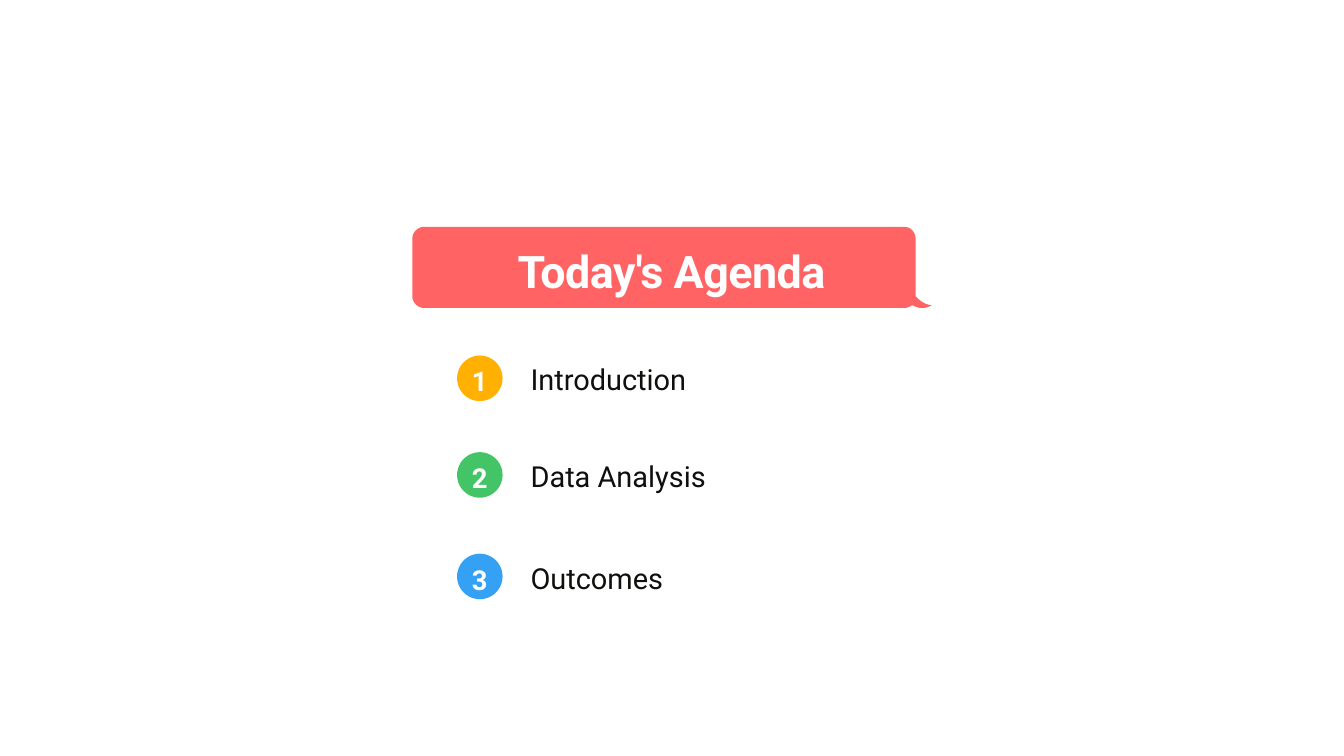
"""Build the agenda slide: a speech-bubble title above three numbered items."""
import pptx
import pptx.dml.color
import pptx.enum.shapes
import pptx.enum.text
import pptx.util

PX = 9525
FONT = "Roboto"
WHITE = pptx.dml.color.RGBColor(0xFF, 0xFF, 0xFF)
INK = pptx.dml.color.RGBColor(0x10, 0x0F, 0x0D)
CORAL = pptx.dml.color.RGBColor(0xFF, 0x63, 0x63)
AMBER = pptx.dml.color.RGBColor(0xFF, 0xB0, 0x01)
GREEN = pptx.dml.color.RGBColor(0x43, 0xC4, 0x66)
BLUE = pptx.dml.color.RGBColor(0x35, 0xA1, 0xF4)

HEADING = "Today's Agenda"
AGENDA = [("Introduction", AMBER, 508), ("Data Analysis", GREEN, 646), ("Outcomes", BLUE, 791)]

COLUMN_LEFT, BADGE_SIZE = 653, 65
LABEL_LEFT, LABEL_WIDTH, LABEL_HEIGHT = 758, 509, 56
BUBBLE_START = (1308, 423)
BUBBLE_CURVES = [
    [(1308, 341)],
    [(1308, 332), (1301, 324), (1292, 324)],
    [(606, 324)],
    [(597, 324), (589, 332), (589, 341)],
    [(589, 423)],
    [(589, 432), (597, 440), (606, 440)],
    [(1292, 440)],
    [(1296, 440), (1300, 438), (1303, 436)],
    [(1308, 438), (1318, 444), (1331, 436)],
    [(1331, 436), (1319, 436), (1308, 423)],
]


def box(*lengths):
    return [length * PX for length in lengths]


def write(shape, text, *, size, line, color, bold=False, spacing=0,
          align=pptx.enum.text.PP_ALIGN.LEFT, anchor=pptx.enum.text.MSO_ANCHOR.TOP):
    frame = shape.text_frame
    frame.word_wrap = True
    frame.auto_size = pptx.enum.text.MSO_AUTO_SIZE.NONE
    frame.vertical_anchor = anchor
    frame.margin_left = frame.margin_right = frame.margin_top = frame.margin_bottom = 0
    paragraph = frame.paragraphs[0]
    paragraph.alignment = align
    paragraph.line_spacing = pptx.util.Pt(line)
    paragraph.space_before = pptx.util.Pt(0)
    run = paragraph.add_run()
    run.text = text
    run.font.name = FONT
    run.font.size = pptx.util.Pt(size)
    run.font.bold = bold
    run.font.color.rgb = color
    if spacing:
        run.font._element.set("spc", str(round(spacing * 100)))


def paint(shape, color):
    shape.shadow.inherit = False
    shape.fill.solid()
    shape.fill.fore_color.rgb = color
    shape.line.fill.background()


def outline_points(start, curves, steps=12):
    points, here = [], start
    for curve in curves:
        if len(curve) == 1:
            points.append(box(*curve[0]))
        else:
            controls = [here, *curve]
            for step in range(1, steps + 1):
                t = step / steps
                weights = [(1 - t) ** 3, 3 * t * (1 - t) ** 2, 3 * t * t * (1 - t), t ** 3]
                points.append([sum(w * c[axis] for w, c in zip(weights, controls)) * PX
                               for axis in (0, 1)])
        here = curve[-1]
    return points


def add_heading(slide):
    builder = slide.shapes.build_freeform(*box(*BUBBLE_START))
    builder.add_line_segments(outline_points(BUBBLE_START, BUBBLE_CURVES), close=True)
    bubble = builder.convert_to_shape()
    paint(bubble, CORAL)
    title = slide.shapes.title
    title.left, title.top, title.width, title.height = box(COLUMN_LEFT, 336, 613, 84)
    write(title, HEADING, size=48, line=67.2, color=WHITE, bold=True, spacing=-0.5,
          align=pptx.enum.text.PP_ALIGN.CENTER)
    bubble.element.addnext(title.element)


def add_item(slide, number, label, color, top):
    badge = slide.shapes.add_shape(pptx.enum.shapes.MSO_SHAPE.OVAL,
                                   *box(COLUMN_LEFT, top, BADGE_SIZE, BADGE_SIZE))
    paint(badge, color)
    write(badge, str(number), size=29.3, line=41, color=WHITE, bold=True,
          align=pptx.enum.text.PP_ALIGN.CENTER, anchor=pptx.enum.text.MSO_ANCHOR.MIDDLE)
    caption = slide.shapes.add_textbox(*box(LABEL_LEFT, top + 1, LABEL_WIDTH, LABEL_HEIGHT))
    write(caption, label, size=31, line=43.4, color=INK)


def main():
    deck = pptx.Presentation()
    deck.slide_width, deck.slide_height = box(1920, 1080)
    slide = deck.slides.add_slide(deck.slide_layouts[5])
    slide.background.fill.solid()
    slide.background.fill.fore_color.rgb = WHITE
    add_heading(slide)
    for number, item in enumerate(AGENDA, 1):
        add_item(slide, number, *item)
    deck.save("out.pptx")


if __name__ == "__main__":
    main()
